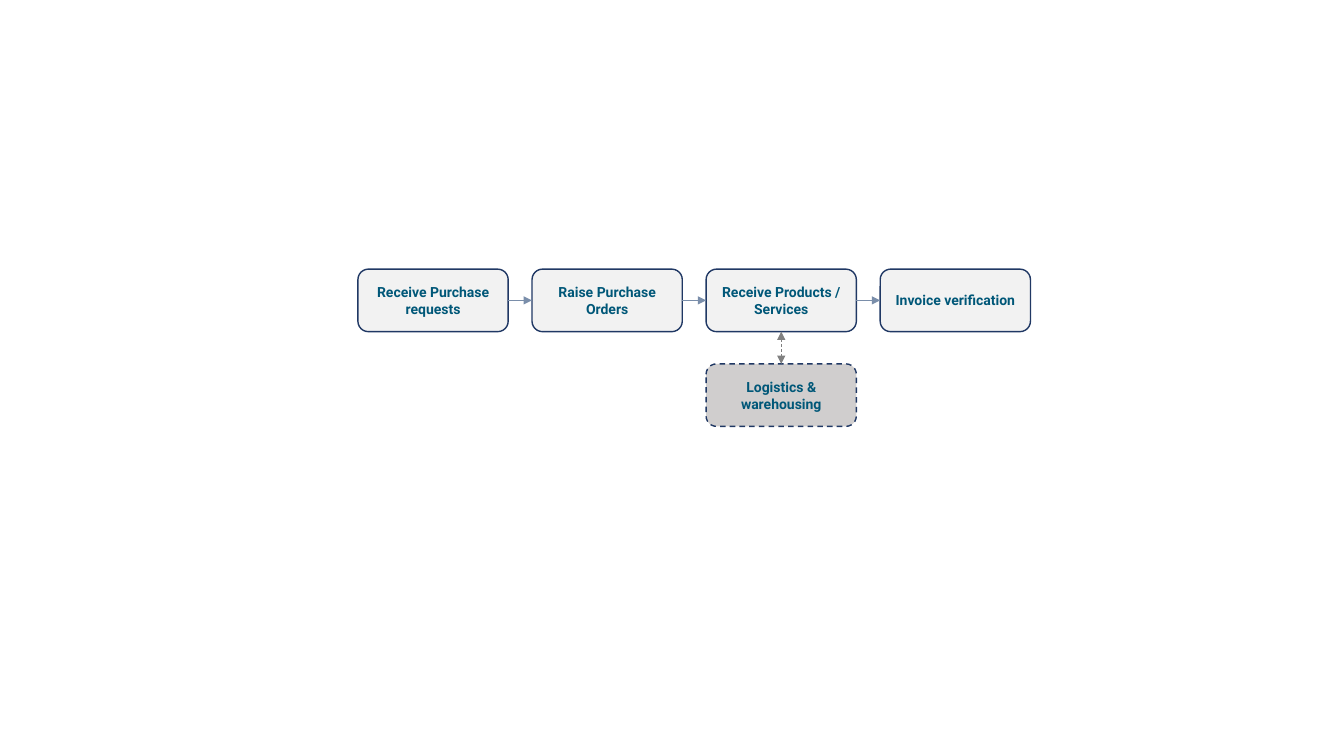
from lxml.etree import SubElement
from pptx import Presentation
from pptx.dml.color import RGBColor
from pptx.enum.dml import MSO_LINE as Dash
from pptx.enum.shapes import MSO_CONNECTOR as Conn, MSO_SHAPE as Shape
from pptx.enum.text import MSO_ANCHOR as Anchor, PP_ALIGN as Align
from pptx.oxml.ns import qn
from pptx.util import Inches, Pt

LEFT, TOP = 3.55, 2.67
WIDE, HIGH = 1.49, 0.62
COL = (8.73 - LEFT) / 3
ROW = 0.94


def paint(part, color):
    """Give a fill or a font a solid hex colour."""
    if hasattr(part, "solid"):
        part.solid()
        part.fore_color.rgb = RGBColor.from_string(color)
    else:
        part.color.rgb = RGBColor.from_string(color)


prs = Presentation()
prs.slide_width, prs.slide_height = Inches(13.33), Inches(7.5)
shapes = prs.slides.add_slide(prs.slide_layouts[6]).shapes

# Steps: text, column, row, fill, outline style
steps = [
    ("Receive Purchase requests", 0, 0, "F2F2F2", Dash.SOLID),
    ("Raise Purchase Orders", 1, 0, "F2F2F2", Dash.SOLID),
    ("Receive Products / Services", 2, 0, "F2F2F2", Dash.SOLID),
    ("Invoice verification", 3, 0, "F2F2F2", Dash.SOLID),
    ("Logistics & warehousing", 2, 1, "D0CECE", Dash.DASH),
]
boxes = []
for text, col, row, fill, dash in steps:
    box = shapes.add_shape(
        Shape.ROUNDED_RECTANGLE,
        Inches(LEFT + col * COL), Inches(TOP + row * ROW),
        Inches(WIDE), Inches(HIGH))
    box.shadow.inherit = False
    paint(box.fill, fill)
    paint(box.line, "203864")
    box.line.width = Pt(1)
    box.line.dash_style = dash
    frame = box.text_frame
    frame.word_wrap = True
    frame.vertical_anchor = Anchor.MIDDLE
    para = frame.paragraphs[0]
    para.text = text
    para.alignment = Align.CENTER
    font = para.font
    font.name, font.size, font.bold = "Roboto", Pt(10), True
    paint(font, "005778")
    boxes.append(box)

# Arrows: start box and side, end box and side, colour, style, arrowheads
arrows = [
    (2, 2, 4, 0, "808080", Dash.DASH, ("headEnd", "tailEnd")),
    (0, 3, 1, 1, "7A8EAA", Dash.SOLID, ("tailEnd",)),
    (1, 3, 2, 1, "7A8EAA", Dash.SOLID, ("tailEnd",)),
    (2, 3, 3, 1, "7A8EAA", Dash.SOLID, ("tailEnd",)),
]
for start, out, end, into, color, dash, heads in arrows:
    arrow = shapes.add_connector(Conn.STRAIGHT, 0, 0, 0, 0)
    arrow.begin_connect(boxes[start], out)
    arrow.end_connect(boxes[end], into)
    paint(arrow.line, color)
    arrow.line.width = Pt(0.5)
    arrow.line.dash_style = dash
    props = arrow._element.spPr
    for head in heads:
        SubElement(props.find(qn("a:ln")), qn("a:" + head), type="triangle")
    SubElement(props, qn("a:effectLst"))

prs.save("out.pptx")
